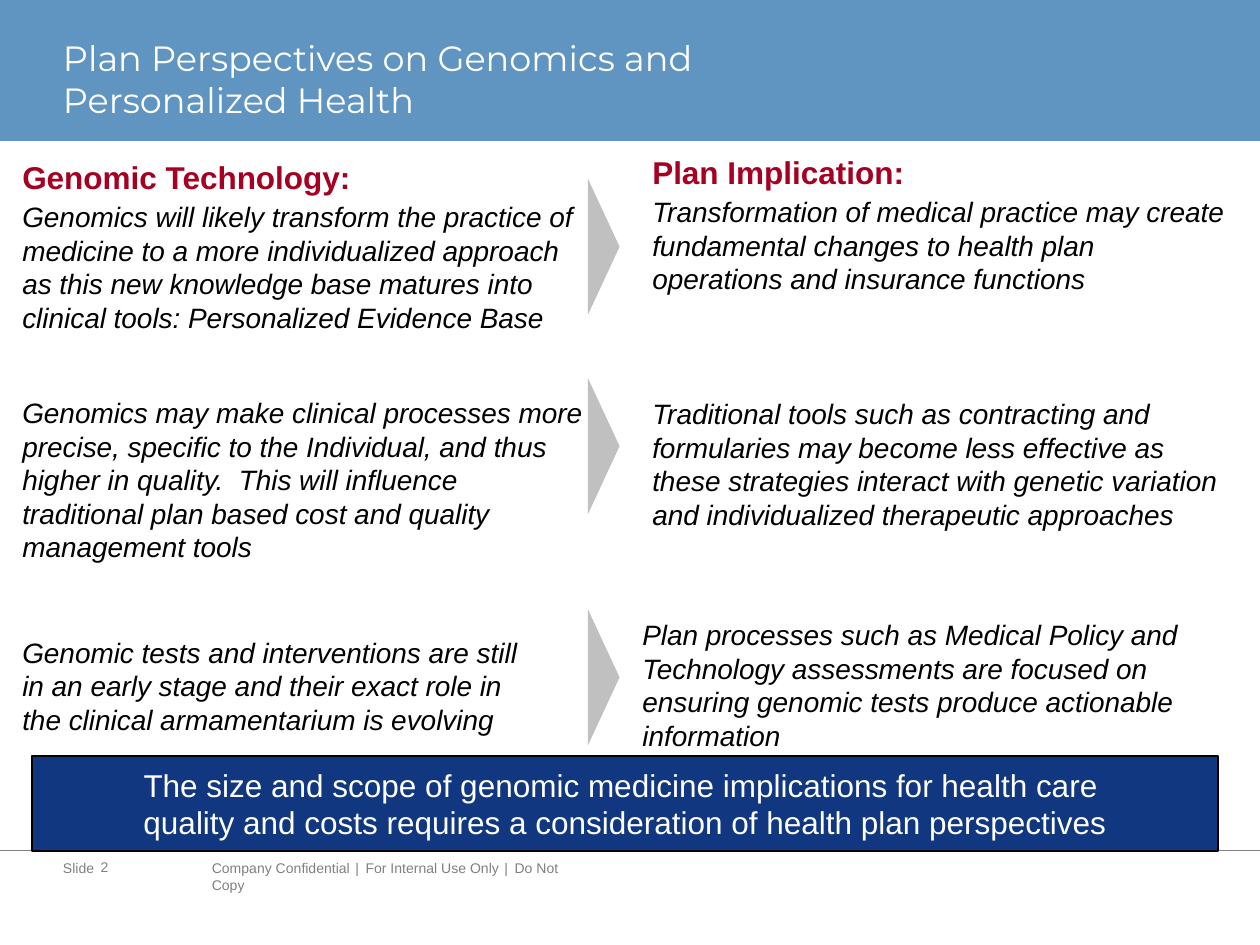
from lxml import etree
from pptx import Presentation, util as u
from pptx.dml.color import RGBColor
from pptx.enum import shapes, text

Cm, Pt = u.Cm, u.Pt
COLORS = {"header": "6095C1", "rule": "808080", "heading": "A50021", "body": "000000",
          "arrow": "C0C0C0", "banner": "10377F", "light": "FFFFFF"}
SLIDE_W, SLIDE_H = 25.4, 19.05
FOOTER_TOP = 17.15

# Top of each statement (left column, right column) and of its arrow
ROWS = [
    ("Genomic Technology:",
     "Genomics will likely transform the practice of medicine to a more individualized "
     "approach as this new knowledge base matures into clinical tools: Personalized Evidence Base",
     (0.2, 3.07, 11.63),
     "Plan Implication:",
     "Transformation of medical practice may create fundamental changes to health plan "
     "operations and insurance functions",
     (12.9, 2.97, 12.07), 3.6),
    (None,
     "Genomics may make clinical processes more precise, specific to the Individual, and thus "
     "higher in quality.  This will influence traditional plan based cost and quality management tools",
     (0.2, 7.85, 11.86),
     None,
     "Traditional tools such as contracting and formularies may become less effective as these "
     "strategies interact with genetic variation and individualized therapeutic approaches",
     (12.9, 7.87, 12.07), 7.62),
    (None,
     "Genomic tests and interventions are still in an early stage and their exact role in the "
     "clinical armamentarium is evolving",
     (0.2, 12.68, 10.8),
     None,
     "Plan processes such as Medical Policy and Technology assessments are focused on ensuring "
     "genomic tests produce actionable information",
     (12.7, 12.33, 12.07), 12.28),
]


def color(name):
    return RGBColor.from_string(COLORS[name])


def style(paragraph, size, name, face="Arial", bold=False, italic=False):
    font = paragraph.font
    font.name, font.size = face, Pt(size)
    font.bold, font.italic = bold, italic
    font.color.rgb = color(name)


def add_box(slide, left, top, width, height, wrap=True, padded=False):
    """Add a text box and return its text frame."""
    frame = slide.shapes.add_textbox(Cm(left), Cm(top), Cm(width), Cm(height)).text_frame
    frame.word_wrap = wrap
    if not padded:
        frame.margin_left = frame.margin_right = frame.margin_top = frame.margin_bottom = 0
    return frame


def add_solid(slide, kind, left, top, width, height, fill):
    solid = slide.shapes.add_shape(kind, Cm(left), Cm(top), Cm(width), Cm(height))
    solid.shadow.inherit = False
    solid.fill.solid()
    solid.fill.fore_color.rgb = color(fill)
    solid.line.fill.background()
    return solid


def add_header(slide, left, top, width, height):
    add_solid(slide, shapes.MSO_SHAPE.RECTANGLE, left, top, width, height, "header")
    title = add_box(slide, left + 1.27, top + 0.64, 16.71, 1.8)
    title.vertical_anchor = text.MSO_ANCHOR.BOTTOM
    title.text = "Plan Perspectives on Genomics and Personalized Health"
    style(title.paragraphs[0], 20, "light", face="Montserrat")


def add_statement(slide, left, top, width, heading, statement):
    frame = add_box(slide, left, top, width, 2.34, padded=True)
    body = frame.paragraphs[0]
    if heading:
        body.text = heading
        style(body, 18, "heading", bold=True)
        body = frame.add_paragraph()
        body.space_before = Pt(2)
    body.text = statement
    style(body, 16, "body", italic=True)


def add_arrow(slide, left, top, width, height):
    """Add a triangle that points right and fills the given box."""
    arrow = add_solid(slide, shapes.MSO_SHAPE.ISOSCELES_TRIANGLE,
                      left + (width - height) / 2, top + (height - width) / 2,
                      height, width, "arrow")
    arrow.rotation = 90


def add_banner(slide, left, top, width, height):
    banner = add_solid(slide, shapes.MSO_SHAPE.RECTANGLE, left, top, width, height, "banner")
    banner.line.color.rgb = color("body")
    banner.line.width = Pt(1)
    frame = banner.text_frame
    frame.word_wrap = False
    frame.vertical_anchor = text.MSO_ANCHOR.MIDDLE
    frame.text = ("The size and scope of genomic medicine implications for health care \n"
                  "quality and costs requires a consideration of health plan perspectives")
    for line in frame.paragraphs:
        line.alignment = text.PP_ALIGN.CENTER
        style(line, 18, "light")


def add_footer(slide, left, top, width):
    # Rule above the footer
    rule = slide.shapes.add_connector(shapes.MSO_CONNECTOR.STRAIGHT,
                                      Cm(left), Cm(top), Cm(left + width), Cm(top))
    rule.line.color.rgb = color("rule")
    rule.line.width = Pt(0.5)
    properties = rule._element.spPr
    namespace = properties.nsmap["a"]
    etree.SubElement(properties, f"{{{namespace}}}effectLst")

    # Slide number and notice
    notice = ["Company Confidential", " | ", "For Internal Use Only", " | ", "Do Not Copy"]
    for offset, drop, box_width, parts in ((1.27, 0.18, 0.64, ["Slide"]),
                                           (2.03, 0.16, 0.64, ["2"]),
                                           (4.27, 0.18, 7.72, notice)):
        label = add_box(slide, left + offset, top + drop, box_width, 0.34, wrap=False).paragraphs[0]
        for part in parts:
            run = label.add_run()
            run.text = part
            if part == " | ":
                run.font._element.set("spc", "75")  # slightly wider separator
        style(label, 8, "rule")


def main():
    deck = Presentation()
    deck.slide_width, deck.slide_height = Cm(SLIDE_W), Cm(SLIDE_H)
    slide = deck.slides.add_slide(deck.slide_layouts[6])

    add_header(slide, 0, 0, SLIDE_W, 2.84)
    add_footer(slide, 0, FOOTER_TOP, SLIDE_W)
    for technology, cause, cause_box, implication, effect, effect_box, arrow_top in ROWS:
        add_statement(slide, *cause_box, technology, cause)
        add_statement(slide, *effect_box, implication, effect)
        add_arrow(slide, 11.85, arrow_top, 0.64, 2.75)
    add_banner(slide, 0.64, 15.24, 23.92, 1.91)

    deck.save("out.pptx")


if __name__ == "__main__":
    main()
